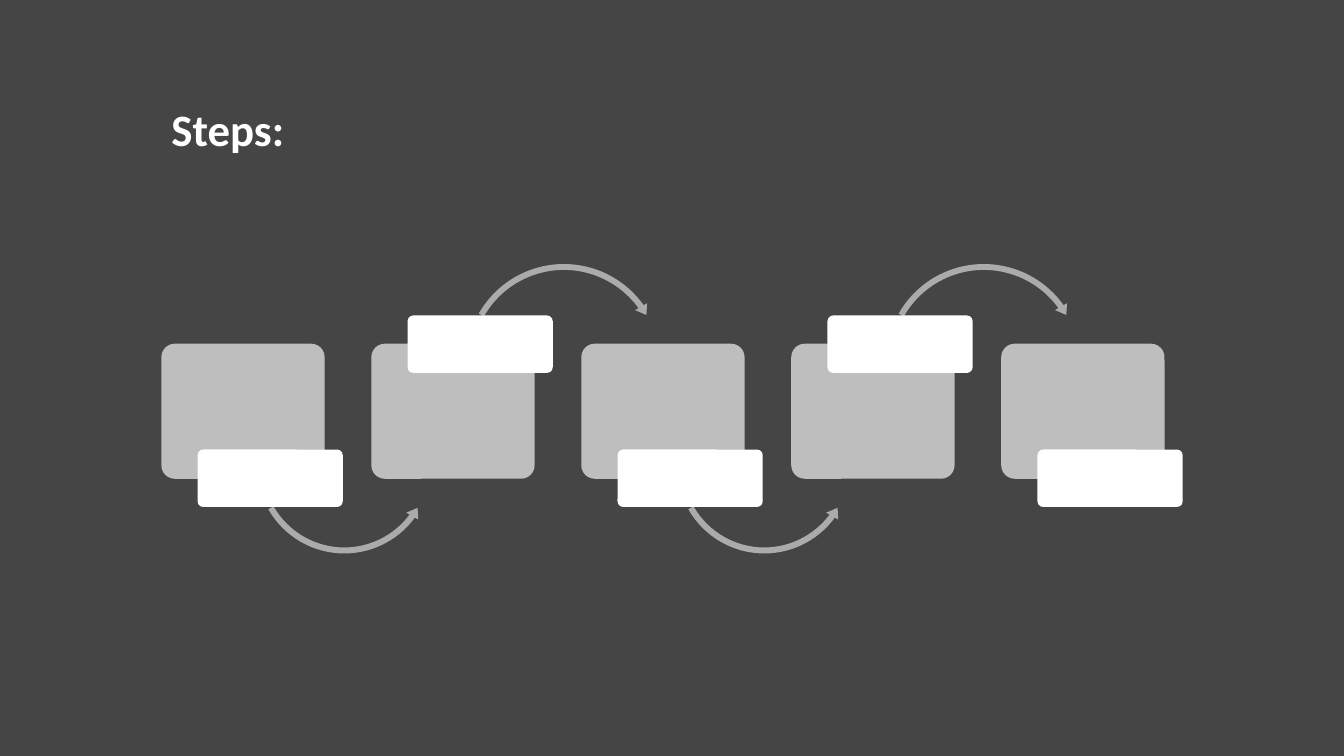
from dataclasses import dataclass

from lxml.etree import SubElement
from pptx import Presentation
from pptx.dml.color import RGBColor as Rgb
from pptx.enum.shapes import MSO_SHAPE as Kind
from pptx.enum.text import MSO_ANCHOR as Anchor, MSO_AUTO_SIZE as Fit, PP_ALIGN as Align
from pptx.oxml.ns import qn
from pptx.util import Inches, Pt


@dataclass(frozen=True)
class Theme:
    back: str = "454545"
    card: str = "CCCCCC"
    arrow: str = "ABABAB"
    label: str = "FFFFFF"
    title: str = "FFFFFF"
    font: str = "Calibri"
    size: int = 32


THEME = Theme()
COUNT = 5
LEFT = 1.6
PITCH = 8.33 / (COUNT - 1)
ROUND = [0.1]
DOWN = [0.033, 4.033, 21.789, 90.245, 0.038]
OVER = [0.029, 3.59, 194.654, 125.755, 0.034]


def place(shape, left, top, width, height):
    shape.left, shape.top = Inches(left), Inches(top)
    shape.width, shape.height = Inches(width), Inches(height)


def write(frame, text, *, size, color, font=THEME.font, bold=False, align=Align.LEFT):
    para = frame.paragraphs[0]
    para.alignment = align
    para.line_spacing = 1.0
    run = para.add_run()
    run.text = text
    run.font.name = font
    run.font.size = Pt(size)
    run.font.bold = bold
    run.font.color.rgb = Rgb.from_string(color)


def add_form(slide, kind, box, color, tweaks, alpha=None):
    shape = slide.shapes.add_shape(kind, *map(Inches, box))
    for i, value in enumerate(tweaks):
        shape.adjustments[i] = value
    shape.shadow.inherit = False
    shape.line.fill.background()
    shape.fill.solid()
    shape.fill.fore_color.rgb = Rgb.from_string(color)
    if alpha is not None:
        tone = shape.fill._xPr.find(qn("a:solidFill"))[0]
        SubElement(tone, qn("a:alpha"), val=str(alpha * 1000))


def add_title(slide, text):
    title = slide.shapes.title
    place(title, LEFT, 0.96, 6.67, 0.64)
    frame = title.text_frame
    frame.word_wrap = True
    frame.auto_size = Fit.SHAPE_TO_FIT_TEXT
    frame.vertical_anchor = Anchor.TOP
    write(frame, text, size=THEME.size, color=THEME.title, bold=True)


def add_step(slide, index):
    left = LEFT + index * PITCH
    upper = index % 2 == 1
    add_form(slide, Kind.ROUNDED_RECTANGLE, (left, 3.41, 1.62, 1.34),
             THEME.card, ROUND, alpha=90)
    if index < COUNT - 1:
        if upper:
            add_form(slide, Kind.CIRCULAR_ARROW, (left + 0.9, 2.58, 2.02, 2.02),
                     THEME.arrow, OVER)
        else:
            add_form(slide, Kind.LEFT_CIRCULAR_ARROW, (left + 0.91, 3.72, 1.81, 1.81),
                     THEME.arrow, DOWN)
    add_form(slide, Kind.ROUNDED_RECTANGLE,
             (left + 0.36, 3.13 if upper else 4.46, 1.44, 0.57), THEME.label, ROUND)


def main():
    deck = Presentation()
    deck.slide_width, deck.slide_height = Inches(13.33), Inches(7.5)
    slide = deck.slides.add_slide(deck.slide_layouts.get_by_name("Title Only"))
    slide.background.fill.solid()
    slide.background.fill.fore_color.rgb = Rgb.from_string(THEME.back)
    for index in range(COUNT):
        add_step(slide, index)
    add_title(slide, "Steps:")
    deck.save("out.pptx")


if __name__ == "__main__":
    main()
